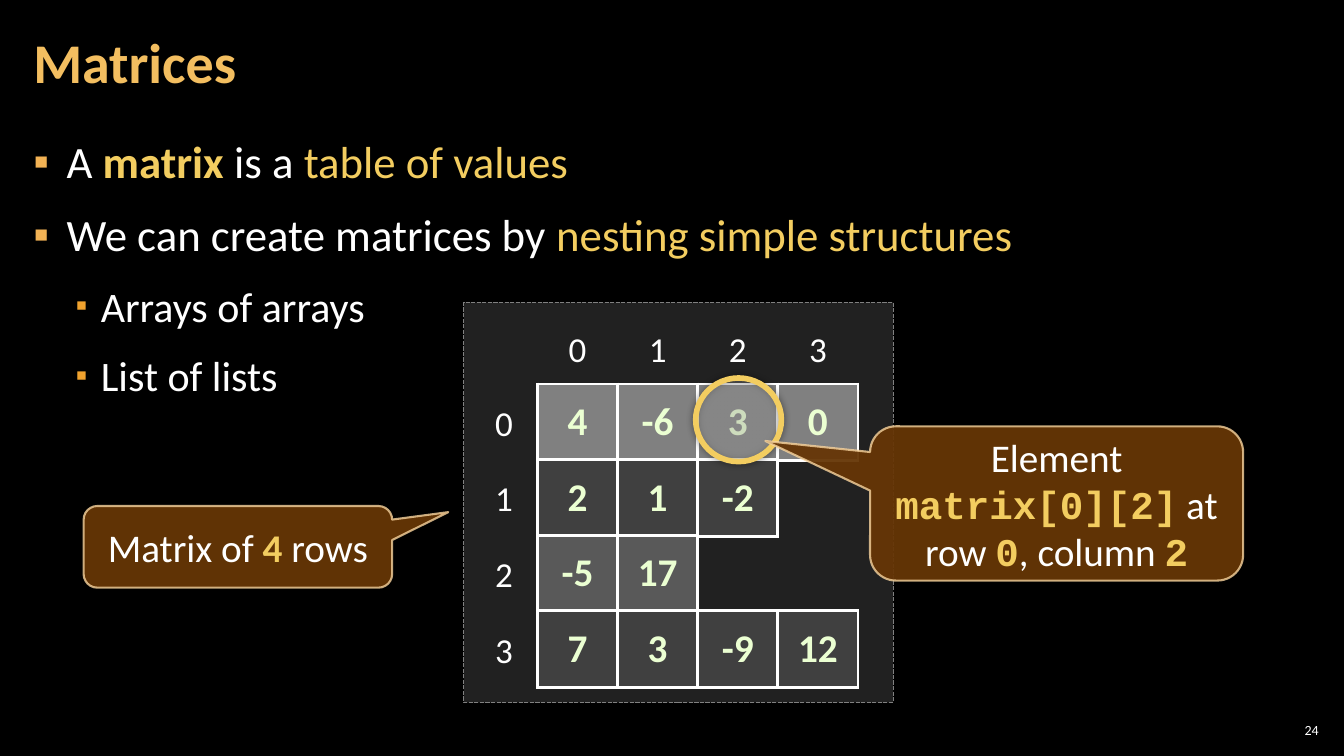
from lxml import etree
from pptx import Presentation
from pptx.dml.color import RGBColor
from pptx.enum.dml import MSO_LINE
from pptx.enum.shapes import MSO_SHAPE
from pptx.enum.text import MSO_ANCHOR, MSO_AUTO_SIZE, PP_ALIGN
from pptx.oxml.ns import qn
from pptx.util import Inches, Pt

WHITE, GOLD, TITLE_GOLD = "FFFFFF", "F3CD60", "F3BE60"
PLAIN = {"color": WHITE}
ACCENT = {"color": GOLD}
STRONG = {"color": GOLD, "bold": True}
CODE = {"color": GOLD, "bold": True, "font": "Courier New"}

TITLE = "Matrices"
PAGE = "24"
BULLETS = [  # (level, runs)
    (0, [("A ", PLAIN), ("matrix ", STRONG), ("is a ", PLAIN), ("table of values", ACCENT)]),
    (0, [("We can create matrices by ", PLAIN), ("nesting simple structures", ACCENT)]),
    (1, [("Arrays of arrays", PLAIN)]),
    (1, [("List of lists", PLAIN)]),
]
LEVELS = [  # size, text indent, hanging indent, bullet colour, bullet percent
    (32, 0.33, 0.33, "F2B254", 100),
    (30, 0.67, 0.25, "F0A22E", 80),
]
MATRIX = [  # (fill, values)
    ("808080", [4, -6, 3, 0]),
    ("404040", [2, 1, -2]),
    ("595959", [-5, 17]),
    ("404040", [7, 3, -9, 12]),
]
CALLOUTS = [  # (box, adjustments, runs)
    ((0.83, 5.02, 3.06, 0.81), (0.682, -0.425, 0.167),
     [("Matrix of ", PLAIN), ("4 ", STRONG), ("rows", PLAIN)]),
    ((8.63, 4.23, 3.7, 1.53), (-0.781, -0.405, 0.167),
     [("Element ", PLAIN), ("matrix[0][2]", CODE), (" at row ", PLAIN), ("0", CODE),
      (", column ", PLAIN), ("2", CODE)]),
]
GRID_LEFT, GRID_TOP = 5.33, 3.81
CELL_W, CELL_H, ROW_PITCH = 0.795, 0.76, 0.75


def rgb(value):
    return RGBColor.from_string(value)


def add_run(paragraph, text, size=28, color=WHITE, bold=False, font="Calibri"):
    run = paragraph.add_run()
    run.text = text
    run.font.size = Pt(size)
    run.font.name = font
    run.font.bold = bold
    run.font.color.rgb = rgb(color)


def xml_child(parent, tag, **attributes):
    return etree.SubElement(parent, qn(tag), attributes)


def set_alpha(color_parent, percent):
    """Make the one solid colour below color_parent partly transparent."""
    color = color_parent.find(qn("a:solidFill")).find(qn("a:srgbClr"))
    xml_child(color, "a:alpha", val=str(percent * 1000))


def place(shape, box):
    shape.left, shape.top, shape.width, shape.height = map(Inches, box)


def set_frame(frame, margin_x, margin_y, anchor):
    frame.word_wrap = True
    frame.auto_size = MSO_AUTO_SIZE.NONE
    frame.margin_left = frame.margin_right = Inches(margin_x)
    frame.margin_top = frame.margin_bottom = Inches(margin_y)
    frame.vertical_anchor = anchor


def add_label(slide, box, text, align=PP_ALIGN.CENTER, size=25):
    frame = slide.shapes.add_textbox(*map(Inches, box)).text_frame
    set_frame(frame, 0.04, 0.04, MSO_ANCHOR.MIDDLE)
    frame.paragraphs[0].alignment = align
    add_run(frame.paragraphs[0], text, size=size)


def add_filled(slide, kind, box, fill, alpha, line, line_width):
    shape = slide.shapes.add_shape(kind, *map(Inches, box))
    shape.shadow.inherit = False
    shape.fill.solid()
    shape.fill.fore_color.rgb = rgb(fill)
    set_alpha(shape.element.spPr, alpha)
    shape.line.color.rgb = rgb(line)
    shape.line.width = Pt(line_width)
    return shape


def add_bullets(body):
    for i, (level, runs) in enumerate(BULLETS):
        size, indent, hanging, color, percent = LEVELS[level]
        paragraph = body.paragraphs[0] if i == 0 else body.add_paragraph()
        paragraph.level = level
        paragraph.line_spacing = 1.05
        paragraph.space_before = paragraph.space_after = Pt(6)
        props = paragraph._p.get_or_add_pPr()
        props.set("marL", str(Inches(indent)))
        props.set("indent", str(-Inches(hanging)))
        xml_child(xml_child(props, "a:buClr"), "a:srgbClr", val=color)
        xml_child(props, "a:buSzPct", val=str(percent * 1000))
        xml_child(props, "a:buFont", typeface="Arial")
        xml_child(props, "a:buChar", char="▪")
        for text, style in runs:
            add_run(paragraph, text, size=size, **style)


def add_borders(cell):
    props = cell._tc.get_or_add_tcPr()
    for i, side in enumerate("LRTB"):
        border = etree.Element(qn("a:ln" + side), w=str(Pt(2.25)))
        xml_child(xml_child(border, "a:solidFill"), "a:srgbClr", val=WHITE)
        props.insert(i, border)


def add_matrix_row(slide, top, fill, values):
    table = slide.shapes.add_table(
        1, len(values), Inches(GRID_LEFT), Inches(top),
        Inches(CELL_W * len(values)), Inches(CELL_H)).table
    table.first_row = table.horz_banding = False
    for cell, value in zip(table.rows[0].cells, values):
        cell.fill.solid()
        cell.fill.fore_color.rgb = rgb(fill)
        cell.vertical_anchor = MSO_ANCHOR.MIDDLE
        add_borders(cell)
        paragraph = cell.text_frame.paragraphs[0]
        paragraph.alignment = PP_ALIGN.CENTER
        add_run(paragraph, str(value), color="EBFFD2", bold=True)


def main():
    prs = Presentation()
    prs.slide_width, prs.slide_height = Inches(13.33), Inches(7.5)
    slide = prs.slides.add_slide(prs.slide_layouts[1])
    slide.background.fill.solid()
    slide.background.fill.fore_color.rgb = rgb("000000")

    title, body = slide.placeholders
    place(title, (0.21, 0.04, 10.47, 1.21))
    set_frame(title.text_frame, 0.12, 0.04, MSO_ANCHOR.MIDDLE)
    heading = title.text_frame.paragraphs[0]
    heading.alignment = PP_ALIGN.LEFT
    heading.line_spacing = 0.9
    add_run(heading, TITLE, size=40, color=TITLE_GOLD, bold=True)
    place(body, (0.21, 1.26, 12.91, 6.09))
    set_frame(body.text_frame, 0.12, 0.04, MSO_ANCHOR.TOP)
    add_bullets(body.text_frame)

    panel = add_filled(slide, MSO_SHAPE.RECTANGLE, (4.6, 3, 4.26, 3.97), "A6A6A6", 20, "808080", 1)
    panel.line.dash_style = MSO_LINE.SQUARE_DOT

    for column in range(len(MATRIX[0][1])):
        add_label(slide, (GRID_LEFT + column * CELL_W, 3.2, CELL_W, 0.52), str(column))
    for row, (fill, values) in enumerate(MATRIX):
        top = GRID_TOP + row * ROW_PITCH
        add_label(slide, (4.8, top, 0.4, CELL_H), str(row))
        add_matrix_row(slide, top, fill, values)

    marker = add_filled(slide, MSO_SHAPE.OVAL, (6.9, 3.75, 0.85, 0.83), "BFBFBF", 25, GOLD, 4)
    effects = marker.element.spPr.find(qn("a:effectLst"))
    shadow = xml_child(effects, "a:outerShdw", blurRad=str(Pt(5)), dist="0", dir="0")
    xml_child(xml_child(shadow, "a:srgbClr", val="000000"), "a:alpha", val="40000")

    for box, adjustments, runs in CALLOUTS:
        callout = add_filled(slide, MSO_SHAPE.ROUNDED_RECTANGULAR_CALLOUT, box,
                             "663606", 95, "F8D49E", 1.5)
        set_alpha(callout.element.spPr.find(qn("a:ln")), 80)
        for i, value in enumerate(adjustments):
            callout.adjustments[i] = value
        set_frame(callout.text_frame, 0.1, 0.05, MSO_ANCHOR.MIDDLE)
        paragraph = callout.text_frame.paragraphs[0]
        paragraph.alignment = PP_ALIGN.CENTER
        for text, style in runs:
            add_run(paragraph, text, **style)

    add_label(slide, (12.65, 7.14, 0.47, 0.21), PAGE, align=PP_ALIGN.RIGHT, size=10)
    prs.save("out.pptx")


if __name__ == "__main__":
    main()
